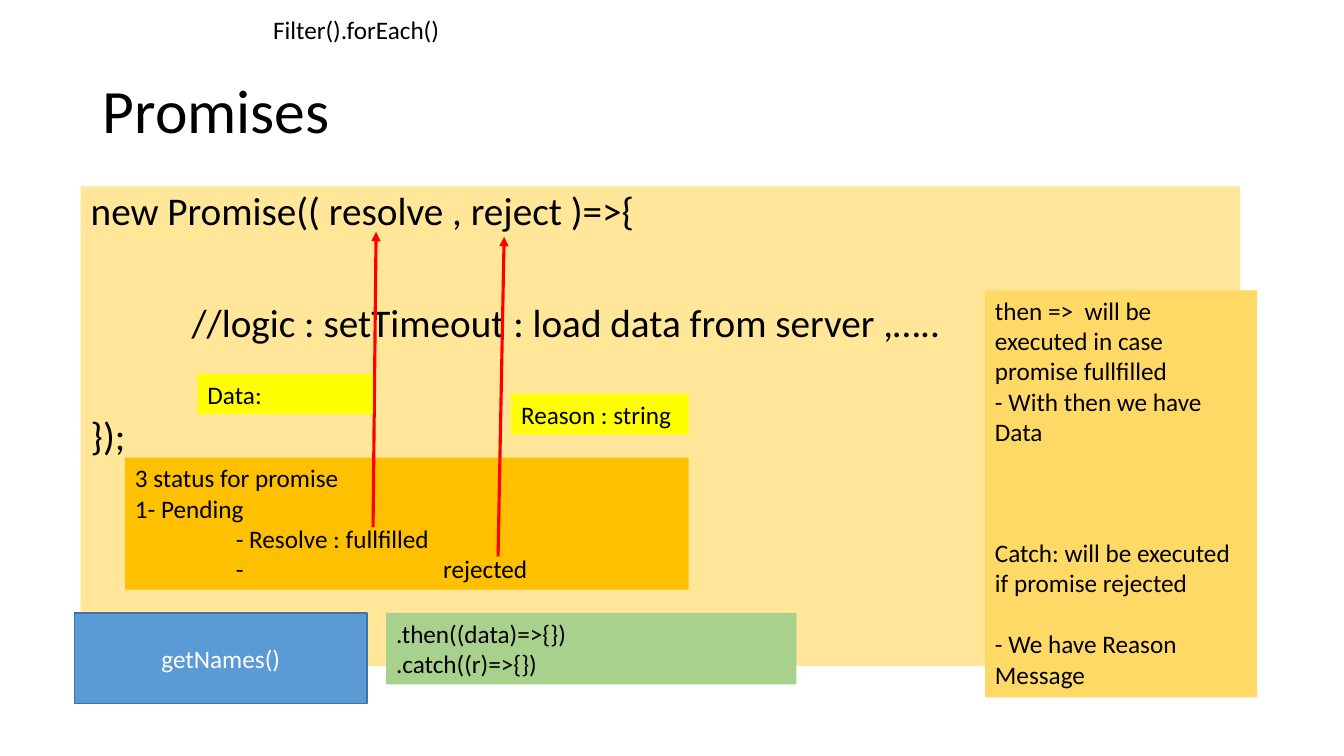
from lxml import etree
from pptx import Presentation
from pptx.dml.color import RGBColor
from pptx.enum.shapes import MSO_CONNECTOR, MSO_SHAPE
from pptx.enum.text import MSO_ANCHOR, MSO_AUTO_SIZE, PP_ALIGN
from pptx.oxml.ns import qn
from pptx.util import Inches, Pt

FONT = "Calibri"
TAB_WIDTH = Inches(1)
BLACK = RGBColor(0x00, 0x00, 0x00)
WHITE = RGBColor(0xFF, 0xFF, 0xFF)
RED = RGBColor(0xFF, 0x00, 0x00)
YELLOW = RGBColor(0xFF, 0xFF, 0x00)
CREAM = RGBColor(0xFF, 0xE6, 0x99)
SAND = RGBColor(0xFF, 0xD9, 0x66)
ORANGE = RGBColor(0xFF, 0xC0, 0x00)
GREEN = RGBColor(0xA9, 0xD1, 0x8E)
BLUE = RGBColor(0x5B, 0x9B, 0xD5)
DARK_BLUE = RGBColor(0x43, 0x73, 0x9E)


def write(frame, lines, size=18, color=BLACK, align=PP_ALIGN.LEFT,
          anchor=MSO_ANCHOR.TOP, spacing=1.0, gaps=None):
    """Write lines as paragraphs, with gaps mapping a line index to points before it."""
    frame.word_wrap = True
    frame.auto_size = MSO_AUTO_SIZE.NONE
    frame.vertical_anchor = anchor
    for index, line in enumerate(lines):
        paragraph = frame.paragraphs[0] if index == 0 else frame.add_paragraph()
        paragraph.alignment = align
        paragraph.line_spacing = spacing
        paragraph.space_before = Pt((gaps or {}).get(index, 0))
        paragraph._p.get_or_add_pPr().set("defTabSz", str(int(TAB_WIDTH)))
        run = paragraph.add_run()
        run.text = line
        run.font.name = FONT
        run.font.size = Pt(size)
        run.font.color.rgb = color


def place(shape, box):
    """Move and size a shape to a box given in inches."""
    shape.left, shape.top, shape.width, shape.height = map(Inches, box)


def note(slide, box, lines, fill, line=None, **style):
    """Add a filled rectangle holding text."""
    shape = slide.shapes.add_shape(MSO_SHAPE.RECTANGLE, *map(Inches, box))
    shape.shadow.inherit = False
    shape.fill.solid()
    shape.fill.fore_color.rgb = fill
    if line is None:
        shape.line.fill.background()
    else:
        shape.line.color.rgb = line
        shape.line.width = Pt(1)
    write(shape.text_frame, lines, **style)


def arrow(slide, start, end):
    """Add a red arrow between two points given in inches."""
    connector = slide.shapes.add_connector(
        MSO_CONNECTOR.STRAIGHT, *map(Inches, (*start, *end)))
    connector.line.color.rgb = RED
    connector.line.width = Pt(2.25)
    etree.SubElement(connector.line._get_or_add_ln(), qn("a:tailEnd"), type="triangle")
    etree.SubElement(connector._element.spPr, qn("a:effectLst"))


def heading(slide, box):
    """Fill the title placeholder and the caption above it."""
    left, top, width, height = box
    place(slide.shapes.title, box)
    write(slide.shapes.title.text_frame, ["Promises"], size=44,
          anchor=MSO_ANCHOR.MIDDLE, spacing=0.9)
    caption = slide.shapes.add_textbox(
        *map(Inches, (left + 1.69, top - 0.31, 8.27, 0.4)))
    write(caption.text_frame, ["Filter().forEach()"])


def promise_code(slide, box):
    """Fill the body placeholder with the promise constructor."""
    body = slide.placeholders[1]
    place(body, box)
    body.fill.solid()
    body.fill.fore_color.rgb = CREAM
    write(body.text_frame,
          ["new Promise(( resolve , reject )=>{",
           "\t//logic : setTimeout : load data from server ,\u2026..",
           "});"],
          size=28, spacing=0.9, gaps={1: 50, 2: 50})
    for paragraph in body.text_frame.paragraphs:
        properties = paragraph._p.get_or_add_pPr()
        properties.set("marL", "0")
        properties.set("indent", "0")
        etree.SubElement(properties, qn("a:buNone"))


def promise_states(slide, box):
    """Add the states box, its arrows to the callbacks and the value labels."""
    left, top, width, height = box
    note(slide, box,
         ["3 status for promise", "1- Pending ", "\t- Resolve : fullfilled",
          "\t-\t\t rejected"], ORANGE)
    arrow(slide, (left + 2.46, top + 0.69), (left + 2.49, top - 2.24))
    arrow(slide, (left + 3.7, top + 0.98), (left + 3.76, top - 2.19))
    note(slide, (left + 3.83, top - 0.63, 1.76, 0.4), ["Reason : string"], YELLOW)
    note(slide, (left + 0.72, top - 0.83, 1.74, 0.4), ["Data:"], YELLOW)


def promise_usage(slide, box):
    """Add the function call and its chained handlers."""
    left, top, width, height = box
    note(slide, (left, top, 2.9, height), ["getNames()"], BLUE, line=DARK_BLUE,
         color=WHITE, align=PP_ALIGN.CENTER, anchor=MSO_ANCHOR.MIDDLE)
    note(slide, (left + 3.09, top, width - 3.09, 0.71),
         [".then((data)=>{})", ".catch((r)=>{})"], GREEN)


def handler_notes(slide, box):
    """Add the explanation of then and catch."""
    note(slide, box,
         ["then =>  will be  executed in case promise fullfilled",
          "- With then we have Data",
          "Catch: will be executed if promise rejected",
          "- We have Reason Message"],
         SAND, gaps={2: 65, 3: 22})


def main():
    """Build the slide and save it."""
    deck = Presentation()
    deck.slide_width, deck.slide_height = Inches(13.33), Inches(7.5)
    slide = deck.slides.add_slide(deck.slide_layouts[1])
    heading(slide, (0.92, 0.4, 11.5, 1.45))
    promise_code(slide, (0.8, 1.85, 11.5, 4.76))
    promise_states(slide, (1.24, 4.54, 5.59, 1.31))
    promise_usage(slide, (0.74, 6.08, 7.16, 0.9))
    handler_notes(slide, (9.77, 2.88, 2.7, 4.04))
    deck.save("out.pptx")


main()
